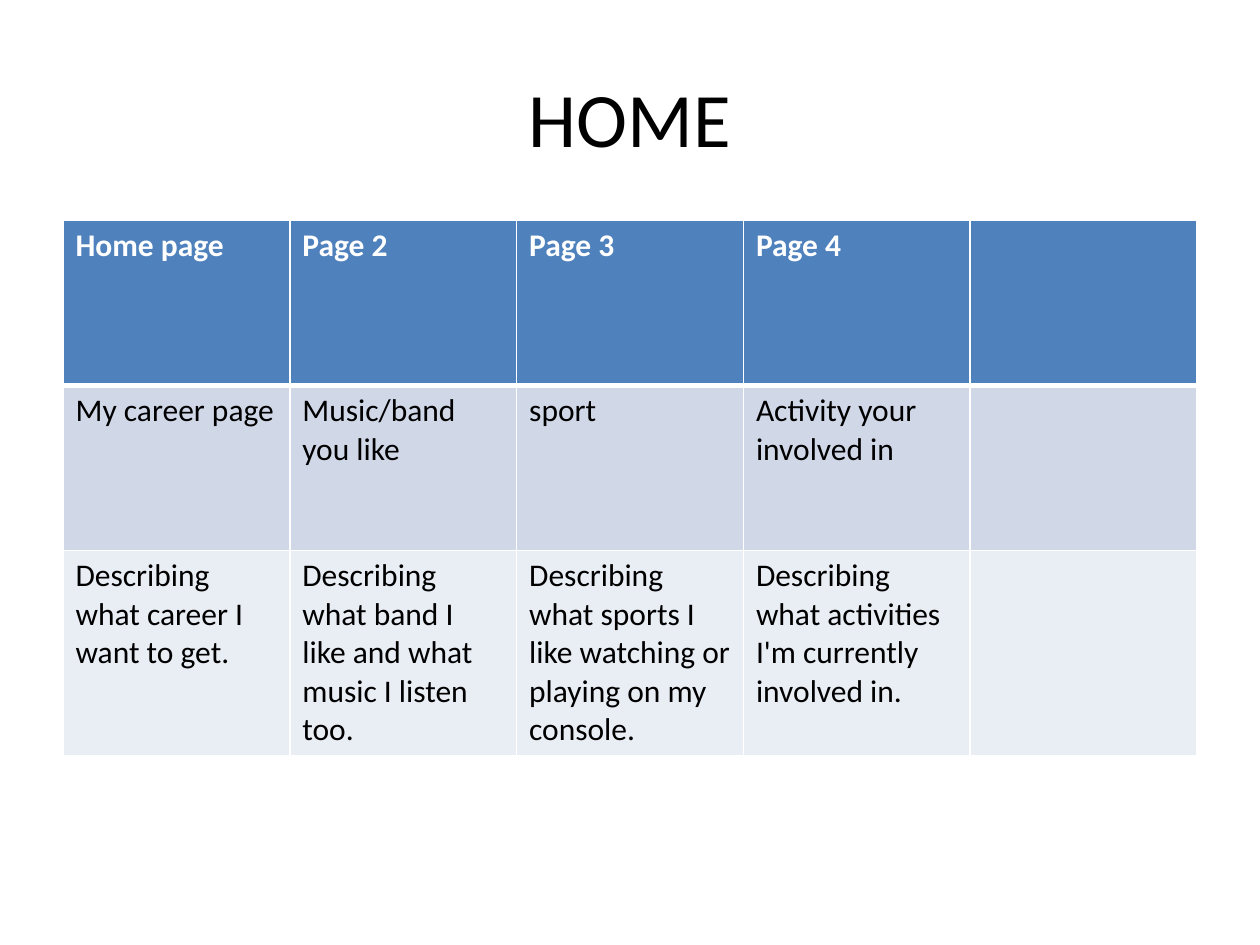
"""Build the HOME slide: a title above a table that plans four pages."""
import dataclasses

import pptx
import pptx.dml.color
import pptx.enum.text
import pptx.oxml
import pptx.oxml.ns
import pptx.util

Inches = pptx.util.Inches
Pt = pptx.util.Pt


@dataclasses.dataclass(frozen=True)
class Theme:
    font: str = "Calibri"
    title_size: int = 44
    body_size: int = 18
    text: str = "000000"
    light: str = "FFFFFF"
    row_fills: tuple = ("4F81BD", "D0D8E8", "E9EDF4")
    border: int = 1
    header_border: int = 3


THEME = Theme()
ROWS = [
    ["Home page", "Page 2", "Page 3", "Page 4", ""],
    ["My career page ", "Music/band you like", "sport",
     "Activity your involved in", ""],
    ["Describing what career I want to get.",
     "Describing what band I like and what music I listen too.",
     "Describing what sports I like watching or playing on my console.",
     "Describing what activities I'm currently involved in.", ""],
]


def set_attrs(obj, values):
    for name, value in values.items():
        setattr(obj, name, value)


def format_font(font, size, color, bold=False):
    set_attrs(font, {"name": THEME.font, "size": Pt(size), "bold": bold})
    font.color.rgb = pptx.dml.color.RGBColor.from_string(color)


def add_title(s, text):
    sp = s.shapes.title
    set_attrs(sp, {"left": Inches(0.5), "top": Inches(0.3),
                   "width": Inches(9), "height": Inches(1.25)})
    tf = sp.text_frame
    tf.vertical_anchor = pptx.enum.text.MSO_ANCHOR.MIDDLE
    p = tf.paragraphs[0]
    p.alignment = pptx.enum.text.PP_ALIGN.CENTER
    r = p.add_run()
    r.text = text
    format_font(r.font, THEME.title_size, THEME.text)


def set_borders(cell, widths):
    tc_pr = cell._tc.get_or_add_tcPr()
    ns = pptx.oxml.ns.nsdecls("a")
    for side, width in widths.items():
        tc_pr.append(pptx.oxml.parse_xml(
            f'<a:ln{side} {ns} w="{Pt(width)}"><a:solidFill>'
            f'<a:srgbClr val="{THEME.light}"/></a:solidFill></a:ln{side}>'))


def format_cell(cell, text, row):
    header = row == 0
    widths = dict.fromkeys("LRTB", THEME.border)
    if row < 2:
        widths["T" if row else "B"] = THEME.header_border
    set_borders(cell, widths)
    cell.fill.solid()
    cell.fill.fore_color.rgb = pptx.dml.color.RGBColor.from_string(
        THEME.row_fills[row])
    p = cell.text_frame.paragraphs[0]
    color = THEME.light if header else THEME.text
    if text:
        r = p.add_run()
        r.text = text
        format_font(r.font, THEME.body_size, color, header)


def add_page_table(s, rows):
    table = s.shapes.add_table(len(rows), len(rows[0]), Inches(0.5),
                               Inches(1.75), Inches(9), Inches(3.93)).table
    for i, texts in enumerate(rows):
        for j, text in enumerate(texts):
            format_cell(table.cell(i, j), text, i)


def main():
    prs = pptx.Presentation()
    set_attrs(prs, {"slide_width": Inches(10), "slide_height": Inches(7.5)})
    s = prs.slides.add_slide(prs.slide_layouts[5])
    add_title(s, "HOME")
    add_page_table(s, ROWS)
    prs.save("out.pptx")


main()
